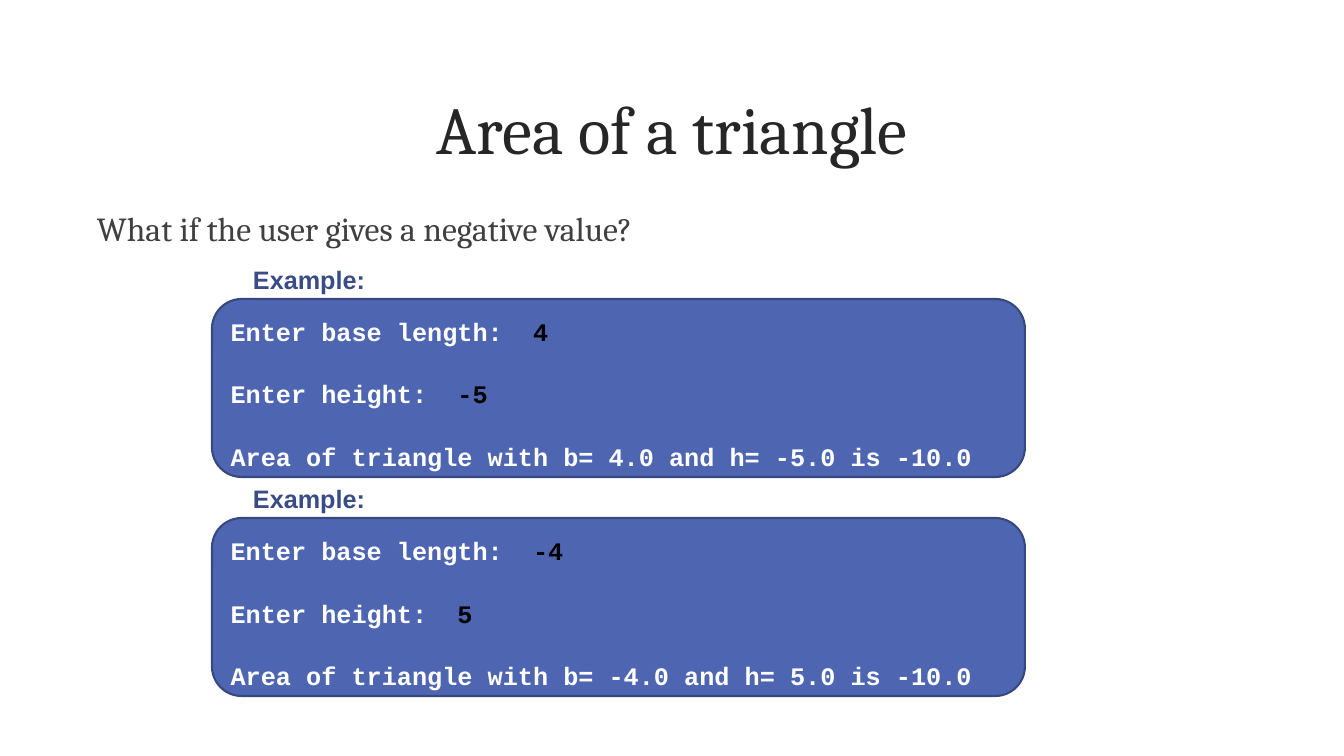
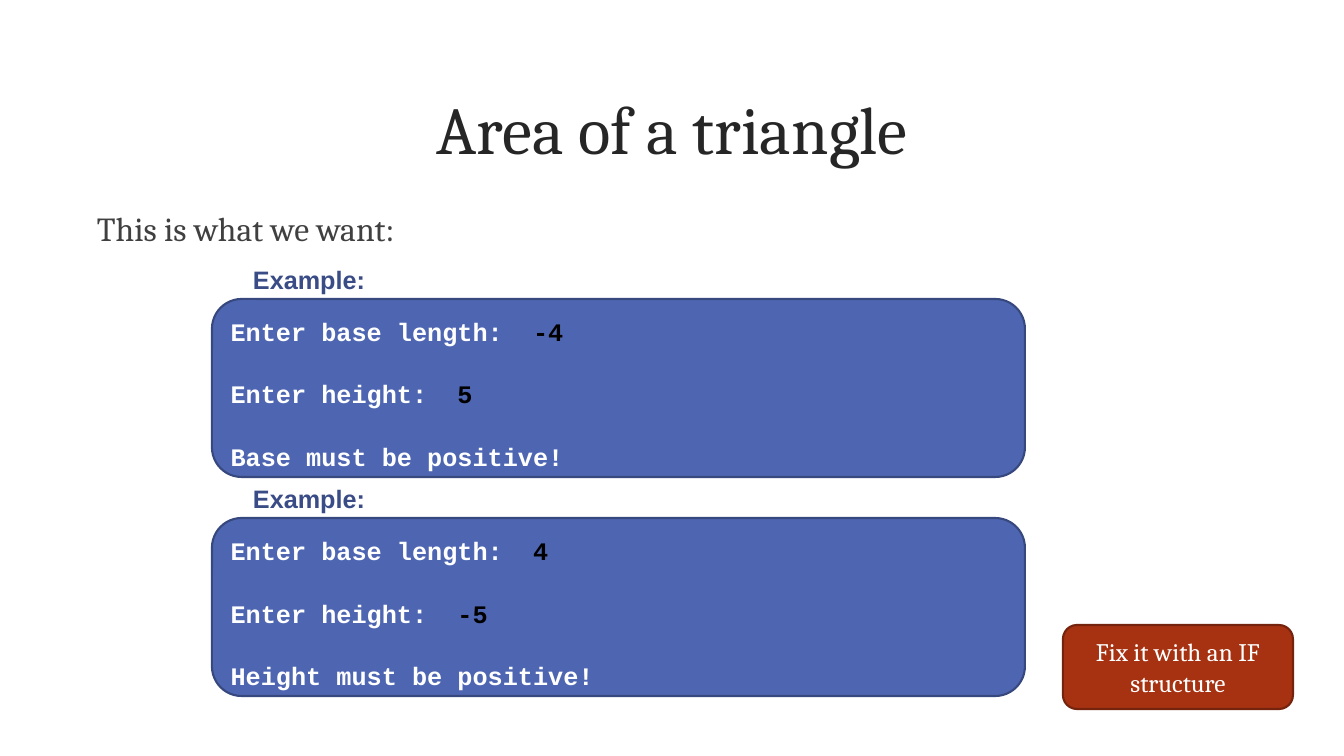
from dataclasses import dataclass
from typing import NamedTuple

from pptx import Presentation
from pptx.dml.color import RGBColor
from pptx.enum.shapes import MSO_SHAPE
from pptx.enum.text import MSO_ANCHOR, PP_ALIGN
from pptx.util import Emu, Pt

ROUND = MSO_SHAPE.ROUNDED_RECTANGLE
TOP, MID = MSO_ANCHOR.TOP, MSO_ANCHOR.MIDDLE
LEFT, CENTER = PP_ALIGN.LEFT, PP_ALIGN.CENTER


# Theme: colours, fonts and sizes
@dataclass(frozen=True)
class Theme:
    title: str = "262626"
    body: str = "404040"
    label: str = "3A4C86"
    box: str = "4E66B2"
    edge: str = "37487E"
    note: str = "A63212"
    rim: str = "75230C"
    light: str = "FFFFFF"
    dark: str = "000000"
    serif: str = "Cambria"
    sans: str = "Arial"
    mono: str = "Courier New"
    big: int = 48
    mid: int = 24
    small: int = 18
    line: float = 1.5
    gap: float = 22.8


class Box(NamedTuple):
    x: int
    y: int
    w: int
    h: int


class Run(NamedTuple):
    text: str
    font: str
    size: int
    color: str
    bold: bool = False


class Demo(NamedTuple):
    base: str
    height: str
    reply: str


class Page(NamedTuple):
    lead: str
    demos: tuple[Demo, ...]
    note: str = ""


T = Theme()

# Layout in pixels
SCALE = 914400 / 100.8
WIDE, HIGH = 1344, 756
HEAD = Box(81, 48, 1182, 159)
BODY = Box(87, 203, 1172, 435)
SHELL = Box(212, 299, 813, 178)
LABEL = Box(243, 259, 151, 40)
NOTE = Box(1063, 625, 230, 84)
STEP = 219
PAD_X, PAD_Y, DROP = 10, 5, 9

TITLE = "Area of a triangle"
PAGES = (
    Page("What if the user gives a negative value?", (
        Demo("4", "-5", "Area of triangle with b= 4.0 and h= -5.0 is -10.0"),
        Demo("-4", "5", "Area of triangle with b= -4.0 and h= 5.0 is -10.0"),
    )),
    Page("This is what we want:", (
        Demo("-4", "5", "Base must be positive!"),
        Demo("4", "-5", "Height must be positive!"),
    ), "Fix it with an IF structure"),
)


def px(n: float) -> Emu:
    return Emu(round(n * SCALE))


def rgb(code: str) -> RGBColor:
    return RGBColor.from_string(code)


def area(box: Box) -> tuple[Emu, ...]:
    return tuple(px(n) for n in box)


def write(shape, rows: list[list[Run]], align=LEFT, anchor=TOP,
          gap: float = 0, top: int = PAD_Y) -> None:
    frame = shape.text_frame
    frame.word_wrap = True
    frame.vertical_anchor = anchor
    frame.margin_left = frame.margin_right = px(PAD_X)
    frame.margin_top, frame.margin_bottom = px(top), px(PAD_Y)
    for i, row in enumerate(rows):
        para = frame.add_paragraph() if i else frame.paragraphs[0]
        para.alignment = align
        para.space_before = Pt(gap if i else 0)
        for item in row:
            run = para.add_run()
            run.text = item.text
            run.font.name = item.font
            run.font.size = Pt(item.size)
            run.font.bold = item.bold
            run.font.color.rgb = rgb(item.color)


def text(slide, box: Box, run: Run, align=LEFT, anchor=TOP) -> None:
    write(slide.shapes.add_textbox(*area(box)), [[run]], align, anchor)


def panel(slide, box: Box, fill: str, edge: str):
    shape = slide.shapes.add_shape(ROUND, *area(box))
    shape.shadow.inherit = False
    shape.fill.solid()
    shape.fill.fore_color.rgb = rgb(fill)
    shape.line.color.rgb = rgb(edge)
    shape.line.width = Pt(T.line)
    return shape


# One labelled console session
def draw_demo(slide, demo: Demo, down: int) -> None:
    def code(words: str, color: str = T.light) -> Run:
        return Run(words, T.mono, T.small, color, True)

    rows = [
        [code("Enter base length:  "), code(demo.base, T.dark)],
        [code("Enter height:  "), code(demo.height, T.dark)],
        [code(demo.reply)],
    ]
    shell = panel(slide, SHELL._replace(y=SHELL.y + down), T.box, T.edge)
    write(shell, rows, gap=T.gap, top=DROP)
    text(slide, LABEL._replace(y=LABEL.y + down),
         Run("Example:", T.sans, T.small, T.label, True))


def draw_page(deck, page: Page) -> None:
    slide = deck.slides.add_slide(deck.slide_layouts[6])
    text(slide, HEAD, Run(TITLE, T.serif, T.big, T.title), CENTER, MID)
    text(slide, BODY, Run(page.lead, T.serif, T.mid, T.body))
    for i, demo in enumerate(page.demos):
        draw_demo(slide, demo, i * STEP)
    if page.note:
        note = panel(slide, NOTE, T.note, T.rim)
        write(note, [[Run(page.note, T.serif, T.small, T.light)]], CENTER, MID)


# Build the deck
deck = Presentation()
deck.slide_width, deck.slide_height = px(WIDE), px(HIGH)
for page in PAGES:
    draw_page(deck, page)
deck.save("out.pptx")
